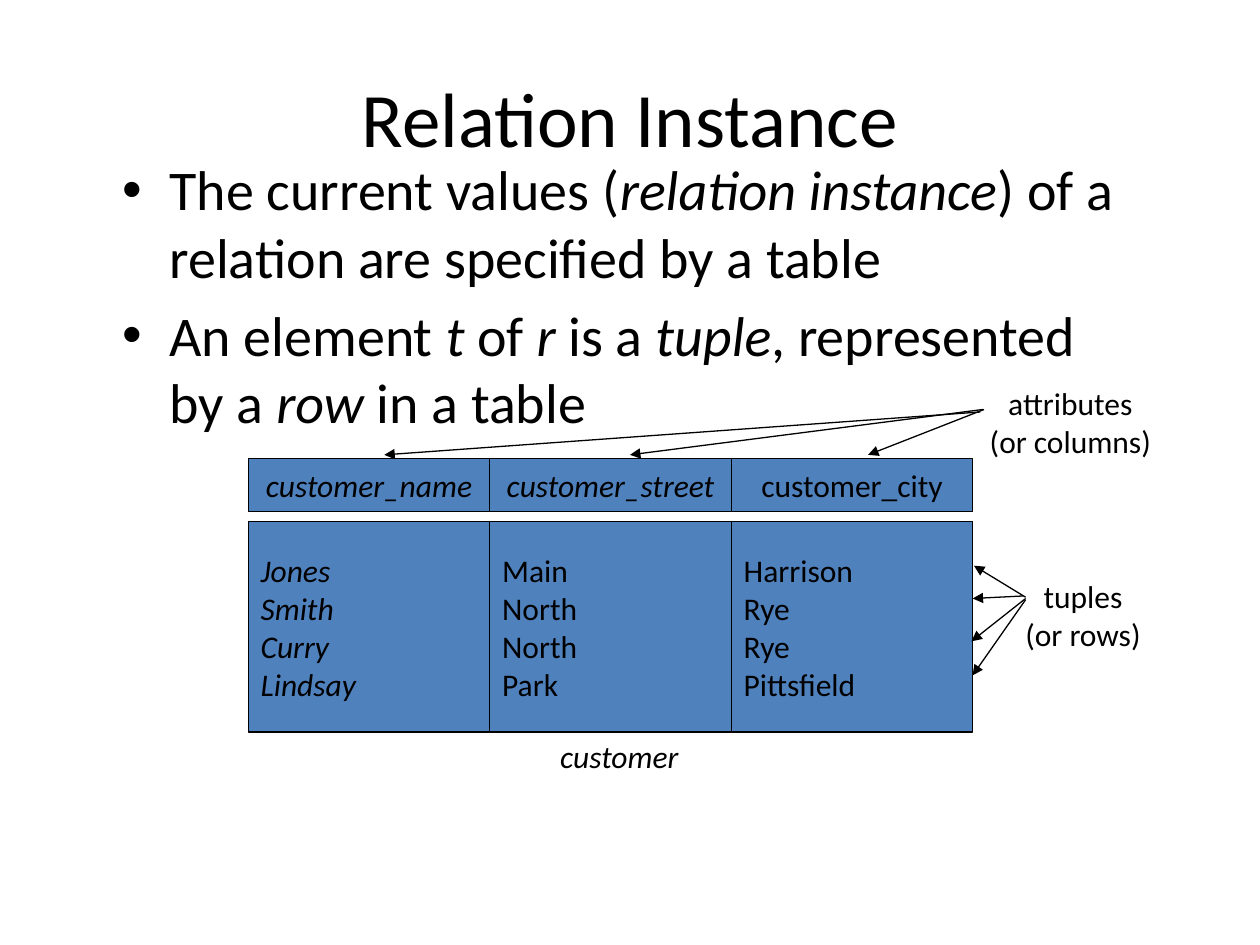
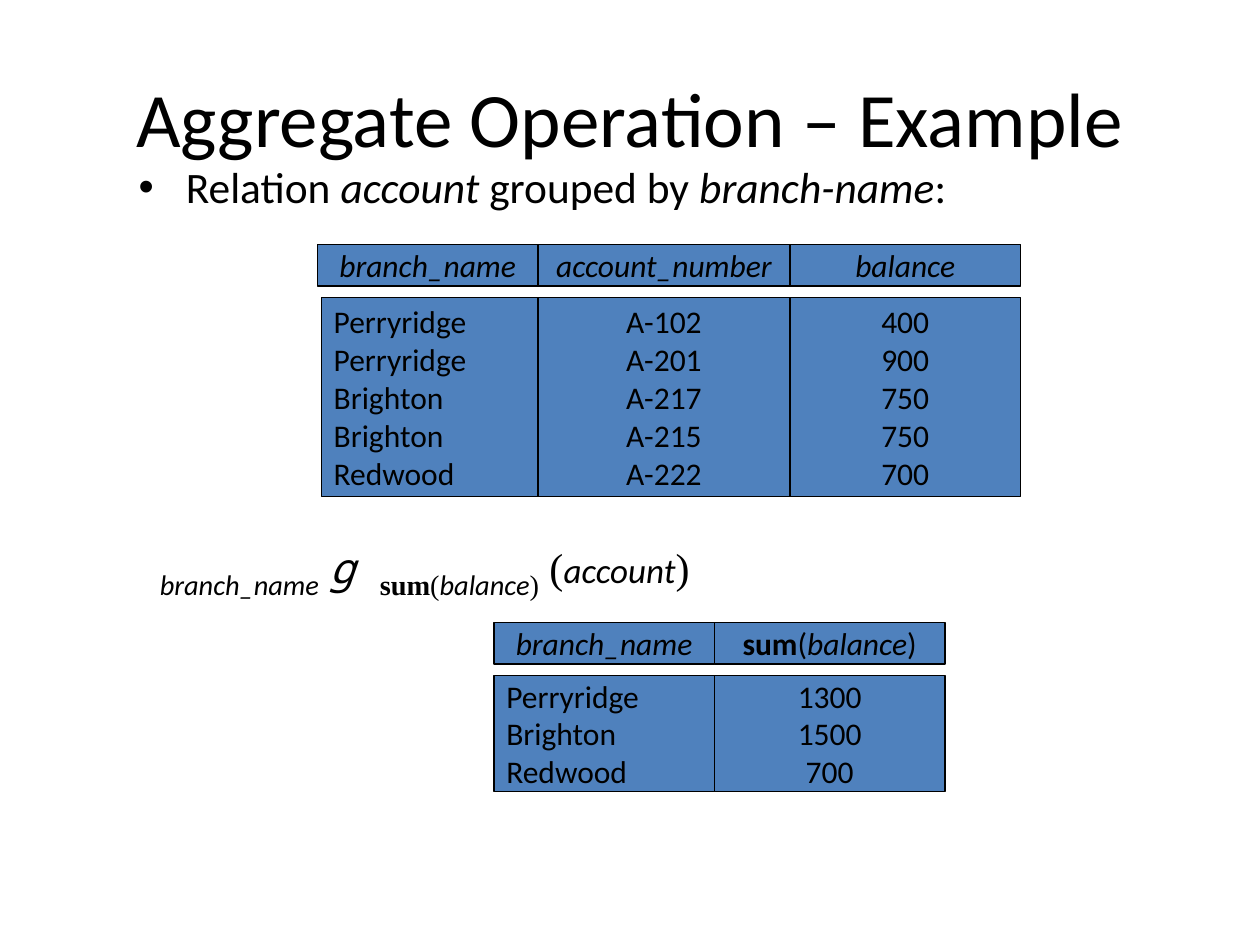
from dataclasses import dataclass
from itertools import accumulate
from typing import NamedTuple

from lxml.etree import SubElement
from pptx import Presentation
from pptx.dml.color import RGBColor
from pptx.enum.shapes import MSO_CONNECTOR, MSO_SHAPE
from pptx.enum.text import MSO_ANCHOR, MSO_AUTO_SIZE, PP_ALIGN
from pptx.oxml.ns import qn
from pptx.util import Inches, Pt

COLOURS = {"ink": "000000", "cell": "4F81BD"}
SANS, SERIF, SCRIPT = "Calibri", "Times New Roman", "Noto Sans Mono"
LABEL_SIZE, LINE_WIDTH = 18, 0.75
LEFT, CENTRE = PP_ALIGN.LEFT, PP_ALIGN.CENTER

# The slide is a grid of 100 columns and 75 rows of square units
SLIDE_WIDTH, SLIDE_HEIGHT = Inches(10), Inches(7.5)
UNIT = SLIDE_WIDTH // 100


class Run(NamedTuple):
    text: str
    italic: bool = False
    bold: bool = False
    size: float = LABEL_SIZE
    font: str = SANS
    baseline: int = 0


class Box(NamedTuple):
    col: float
    row: float
    cols: float
    rows: float

    def emu(self) -> list[int]:
        return [round(length * UNIT) for length in self]


class Column(NamedTuple):
    heading: list[Run]
    values: str
    cols: float
    align: PP_ALIGN = CENTRE
    italic: bool = False


@dataclass
class Relation:
    col: float
    row: float
    heading_rows: float
    gap: float
    value_rows: float
    columns: list[Column]
    first_inset: float = 0


def marked(text: str, size: float = LABEL_SIZE) -> list[Run]:
    """Split text into runs; stars enclose the italic parts."""
    return [Run(part, italic=bool(i % 2), size=size)
            for i, part in enumerate(text.split("*")) if part]


def colour(name: str) -> RGBColor:
    return RGBColor.from_string(COLOURS[name])


def write(frame, paragraphs: list[list[Run]], align=None) -> None:
    for i, runs in enumerate(paragraphs):
        paragraph = frame.add_paragraph() if i else frame.paragraphs[0]
        if not i:
            paragraph.space_before = Pt(0)
        if align is not None:
            paragraph.alignment = align
        for item in runs:
            run = paragraph.add_run()
            run.text = item.text
            formats = {"name": item.font, "size": Pt(item.size),
                       "italic": item.italic, "bold": item.bold}
            for attribute, value in formats.items():
                setattr(run.font, attribute, value)
            run.font.color.rgb = colour("ink")
            if item.baseline:
                run._r.get_or_add_rPr().set("baseline", str(item.baseline * 1000))


def place(shape, box: Box) -> None:
    for attribute, value in zip(("left", "top", "width", "height"), box.emu()):
        setattr(shape, attribute, value)


def add_topic(deck, title: str, box: Box, bullets: list[list[Run]]):
    slide = deck.slides.add_slide(deck.slide_layouts[1])
    heading, body = slide.placeholders
    place(heading, Box(5, 3, 90, 12.5))
    write(heading.text_frame, [marked(title, 44)], CENTRE)
    place(body, box)
    body.text_frame.auto_size = MSO_AUTO_SIZE.NONE
    write(body.text_frame, bullets)
    return slide


def add_cell(slide, box: Box, paragraphs: list[list[Run]], align) -> None:
    cell = slide.shapes.add_shape(MSO_SHAPE.RECTANGLE, *box.emu())
    cell.shadow.inherit = False
    cell.fill.solid()
    cell.fill.fore_color.rgb = colour("cell")
    cell.line.color.rgb = colour("ink")
    cell.line.width = Pt(LINE_WIDTH)
    cell.text_frame.word_wrap = False
    cell.text_frame.vertical_anchor = MSO_ANCHOR.MIDDLE
    write(cell.text_frame, paragraphs, align)


def add_relation(slide, relation: Relation) -> None:
    starts = list(accumulate((c.cols for c in relation.columns), initial=relation.col))
    value_row = relation.row + relation.heading_rows + relation.gap
    for i, (start, column) in enumerate(zip(starts, relation.columns)):
        add_cell(slide, Box(start, relation.row, column.cols, relation.heading_rows),
                 [column.heading], CENTRE)
        inset = 0 if i else relation.first_inset
        add_cell(slide, Box(start + inset, value_row, column.cols - inset, relation.value_rows),
                 [[Run(value, column.italic)] for value in column.values.split()], column.align)


def add_label(slide, box: Box, lines: list[str], anchor=MSO_ANCHOR.TOP) -> None:
    frame = slide.shapes.add_textbox(*box.emu()).text_frame
    frame.word_wrap = False
    frame.auto_size = MSO_AUTO_SIZE.SHAPE_TO_FIT_TEXT
    frame.vertical_anchor = anchor
    write(frame, [marked(line) for line in lines], CENTRE)


def add_arrow(slide, start: tuple[float, float], end: tuple[float, float]) -> None:
    ends = [round(length * UNIT) for length in (*start, *end)]
    arrow = slide.shapes.add_connector(MSO_CONNECTOR.STRAIGHT, *ends)
    arrow.line.color.rgb = colour("ink")
    arrow.line.width = Pt(LINE_WIDTH)
    SubElement(arrow.line._get_or_add_ln(), qn("a:tailEnd"), type="triangle")
    SubElement(arrow._element.spPr, qn("a:effectLst"))


def relation_instance(deck) -> None:
    slide = add_topic(deck, "Relation Instance", Box(8.7, 11.8, 81, 21.6), [
        marked("The current values (*relation instance*) of a relation are specified by a table", 32),
        marked("An element *t* of *r* is a *tuple*, represented by a *row *in a table", 32)])

    # Customer relation
    width = 19.17
    add_relation(slide, Relation(19.7, 36.4, 4.2, 0.8, 16.7, [
        Column(marked("*customer_name*"), "Jones Smith Curry Lindsay", width, LEFT, True),
        Column(marked("*customer_street*"), "Main North North Park", width, LEFT),
        Column(marked("customer_city"), "Harrison Rye Rye Pittsfield", width, LEFT)]))
    add_label(slide, Box(43, 58, 12.3, 4), ["*customer*"], MSO_ANCHOR.MIDDLE)

    # Pointers to the attributes and the tuples
    add_label(slide, Box(77, 30, 15.9, 7), ["attributes", "(or columns)"])
    for start, end_col in (((77.8, 32.7), 30.5), ((78, 32.5), 50), ((78.1, 32.5), 68.9)):
        add_arrow(slide, start, (end_col, 36.1))
    add_label(slide, Box(80, 45.3, 11.9, 7), ["tuples", "(or rows)"])
    for start, end in (((81.4, 47.4), (77.3, 44.9)), ((81.2, 47.3), (77.2, 47.5)),
                       ((81.4, 47.5), (77.1, 50.9)), ((81.4, 47.6), (77.2, 53.6))):
        add_arrow(slide, start, end)


def aggregate_example(deck) -> None:
    slide = add_topic(deck, "Aggregate Operation – Example", Box(10, 12.2, 75.1, 4.5),
                      [marked("Relation *account* grouped by *branch-name*:", 24.8)])

    # Aggregate expression
    expression = slide.shapes.add_textbox(*Box(11.7, 41.9, 76.9, 6.4).emu()).text_frame
    expression.word_wrap = True
    write(expression, [[
        Run("branch_name", italic=True, size=28, baseline=-25),
        Run(" ", size=24, font=SERIF),
        Run("g ", italic=True, size=24, font=SCRIPT),
        Run("sum", bold=True, size=28, font=SERIF, baseline=-25),
        Run("(", size=28, font=SERIF, baseline=-25),
        Run("balance", italic=True, size=28, baseline=-25),
        Run(")", size=28, font=SERIF, baseline=-25),
        Run(" (", size=24, font=SERIF),
        Run("account", italic=True, size=20),
        Run(")", size=24, font=SERIF)]], LEFT)

    # Account relation and its totals by branch
    branch, branch_cols, balance_cols = marked("*branch_name*"), 17.5, 18.3
    add_relation(slide, Relation(25.2, 19.4, 3.3, 0.9, 15.8, [
        Column(branch, "Perryridge Perryridge Brighton Brighton Redwood", branch_cols, LEFT),
        Column(marked("*account_number*"), "A-102 A-201 A-217 A-215 A-222", 20),
        Column(marked("*balance*"), "400 900 750 750 700", balance_cols)], first_inset=0.3))
    add_relation(slide, Relation(39.2, 49.4, 3.3, 0.9, 9.2, [
        Column(branch, "Perryridge Brighton Redwood", branch_cols, LEFT),
        Column([Run("sum", bold=True), *marked("(*balance*)")], "1300 1500 700", balance_cols)]))


def main() -> None:
    deck = Presentation()
    deck.slide_width, deck.slide_height = SLIDE_WIDTH, SLIDE_HEIGHT
    relation_instance(deck)
    aggregate_example(deck)
    deck.save("out.pptx")


if __name__ == "__main__":
    main()
